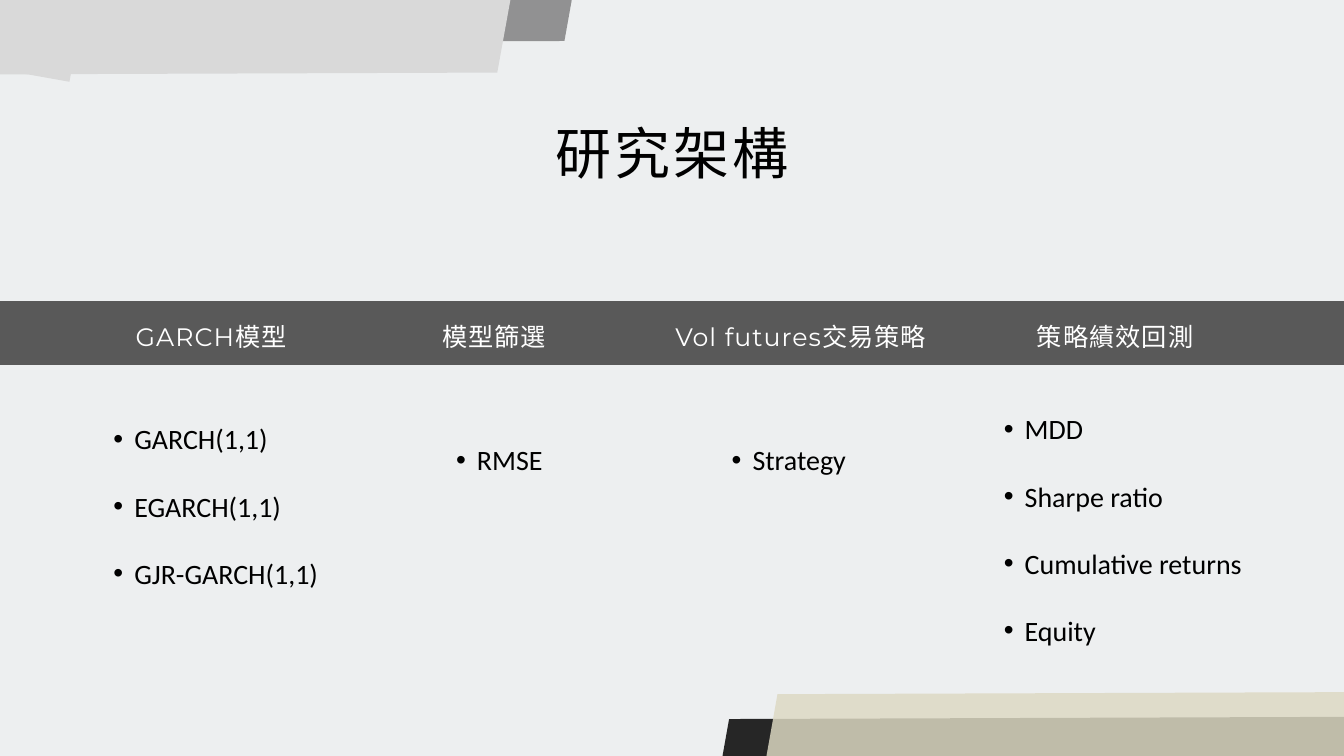
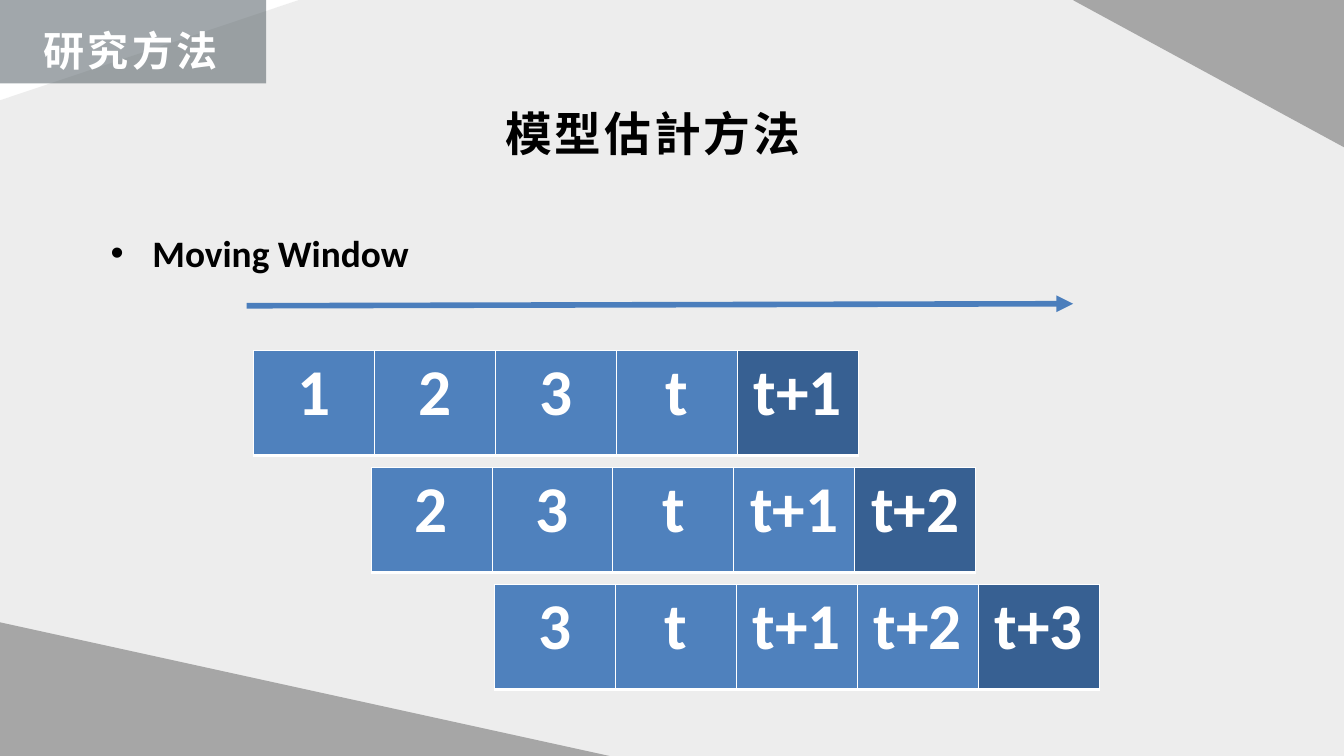
from lxml.etree import SubElement as Sub
from pptx import Presentation
from pptx.dml.color import RGBColor as Rgb
from pptx.enum.shapes import MSO_CONNECTOR as Connector, MSO_SHAPE as Preset
from pptx.enum.text import MSO_ANCHOR as Anchor, MSO_AUTO_SIZE as AutoSize, PP_ALIGN as Align
from pptx.oxml.ns import qn
from pptx.util import Inches, Pt

# Shared grid: 20 columns by 11.25 rows of square units
COLUMNS, ROWS = 20, 11.25
UNIT = Inches(1)

COLORS = {
    "mist": "EDEFF0", "white": "FFFFFF", "black": "000000",
    "band": "595959", "pale": "D9D9D9", "mid": "808080", "sand": "DDD9C3",
    "wash": "BFBFBF", "corner": "A6A6A6", "tag": "525E64",
    "window": "4F81BD", "forecast": "376092", "arrow": "4B7EBC",
}


def draw_panel(slide, color, opacity=100, points=None, place=None, turn=0):
    """Draw a filled outline through points, or a turned rectangle."""
    if points:
        corners = [(x * UNIT, y * UNIT) for x, y in points]
        outline = slide.shapes.build_freeform(*corners[0], scale=1.0)
        outline.add_line_segments(corners[1:], close=True)
        panel = outline.convert_to_shape()
    else:
        panel = slide.shapes.add_shape(Preset.RECTANGLE, *[int(v * UNIT) for v in place])
        panel.rotation = turn
    panel.shadow.inherit = False
    panel.line.fill.background()
    panel.fill.solid()
    panel.fill.fore_color.rgb = Rgb.from_string(COLORS[color])
    if opacity < 100:
        tint = panel.fill._xPr.find(qn("a:solidFill"))[0]
        Sub(tint, qn("a:alpha"), val=str(opacity * 1000))


def write_text(target, text, place=None, size=30, font="Calibri", color="black",
               bold=False, align=None, leading=None, tracking=0, indent=0,
               bullet=False, inset=True, grow=True, anchor=None):
    """Write lines in a new box at place, or in the target's own frame."""
    if place:
        frame = target.shapes.add_textbox(*[int(v * UNIT) for v in place]).text_frame
        frame.word_wrap = True
        frame.auto_size = AutoSize.SHAPE_TO_FIT_TEXT if grow else AutoSize.NONE
        frame.vertical_anchor = anchor
        if not inset:
            frame.margin_left = frame.margin_right = 0
            frame.margin_top = frame.margin_bottom = 0
    else:
        frame = target.text_frame
    for number, line in enumerate(text.split("\n")):
        paragraph = frame.add_paragraph() if number else frame.paragraphs[0]
        paragraph.alignment = align
        paragraph.line_spacing = leading
        layout = paragraph._p.get_or_add_pPr()
        if indent:
            layout.set("marL", str(int(indent * UNIT)))
            layout.set("indent", str(int(-indent * UNIT) if bullet else 0))
        if bullet:
            Sub(layout, qn("a:buFont"), typeface="Arial")
            Sub(layout, qn("a:buChar"), char="•")
        run = paragraph.add_run()
        run.text = line
        run.font.size, run.font.name, run.font.bold = Pt(size), font, bold
        run.font.color.rgb = Rgb.from_string(COLORS[color])
        if tracking:
            run._r.get_or_add_rPr().set("spc", str(round(tracking * 100)))


deck = Presentation()
deck.slide_width, deck.slide_height = int(COLUMNS * UNIT), int(ROWS * UNIT)
framework, method = [deck.slides.add_slide(deck.slide_layouts[6]) for _ in range(2)]
for slide, backdrop in ((framework, "mist"), (method, "white")):
    slide.background.fill.solid()
    slide.background.fill.fore_color.rgb = Rgb.from_string(COLORS[backdrop])

# Shared title style
TITLE = dict(font="Montserrat", align=Align.CENTER)

# Research framework: title and heading band
write_text(framework, "研究架構", (2.02, 1.85, 15.97, 0.93), size=60,
           leading=Pt(66.1), tracking=3.1, inset=False, **TITLE)
draw_panel(framework, "band",
           points=[(-3.57, 5.43), (-3.57, 4.48), (23.67, 4.48), (23.67, 5.43)])

# Slanted bars in the corners
slanted_bars = [
    ("black", 84, [(10.85, 10.7), (10, 15.47), (23.99, 15.42), (24.84, 10.65)]),
    ("mid", 84, [(-4.74, -4.11), (-5.59, 0.66), (8.4, 0.61), (9.25, -4.15)]),
    ("pale", 100, [(-5.73, -3.63), (-6.58, 1.13), (7.4, 1.08), (8.26, -3.68)]),
    ("sand", 84, [(11.57, 10.33), (10.72, 15.1), (24.71, 15.05), (25.56, 10.28)]),
]
for color, opacity, corners in slanted_bars:
    draw_panel(framework, color, opacity, points=corners)
draw_panel(framework, "pale", place=(-6.05, -7.24, 7.51, 8.1), turn=280.1)

# Four stages: heading in the band, bullet list below
stages = [
    ("GARCH模型", (1.7, 4.71, 4.31, 0.49), None,
     "GARCH(1,1)\nEGARCH(1,1)\nGJR-GARCH(1,1)", (1.59, 5.73, 4.06, 2.99)),
    ("模型篩選", (6.26, 4.7, 2.91, 0.49), None,
     "RMSE", (6.69, 6.04, 3.57, 0.97)),
    ("Vol futures交易策略", (9.73, 4.7, 4.67, 0.49), None,
     "Strategy", (10.79, 6.04, 3.57, 0.97)),
    ("策略績效回測", (14.26, 4.71, 4.67, 0.49), Align.CENTER,
     "MDD\nSharpe ratio\nCumulative returns\nEquity", (14.84, 5.58, 4.06, 4)),
]
for heading, heading_place, align, items, items_place in stages:
    write_text(framework, heading, heading_place, size=27, font="Montserrat",
               color="white", align=align, leading=Pt(37.8), tracking=1.1,
               indent=0 if align else 0.32, inset=False)
    write_text(framework, items, items_place, leading=2.0, indent=0.31, bullet=True)

# Estimation method: tinted ground and grey corners
draw_panel(method, "wash", 27,
           points=[(-3.42, 2.64), (20.78, -5.48), (26.58, 11.81), (2.38, 19.93)])
draw_panel(method, "corner",
           points=[(-2.43, 12.23), (-1.69, 8.89), (16.64, 12.91), (15.91, 16.25)])
draw_panel(method, "corner", place=(16.63, -3.79, 5.72, 4.9), turn=298.5)

# Title, topic and section tag
SECTION = dict(TITLE, bold=True, leading=Pt(83.1), tracking=3.3)
write_text(method, "模型估計方法", (1.94, 1.24, 15.55, 1.03), size=50,
           inset=False, **SECTION)
write_text(method, "Moving Window", (1.55, 3.07, 11.5, 1.45), size=40, bold=True,
           leading=0.9, indent=0.62, bullet=True, grow=False, anchor=Anchor.MIDDLE)
draw_panel(method, "tag", 54,
           points=[(-0.67, 1.24), (-0.67, -0.19), (3.96, -0.19), (3.96, 1.24)])
write_text(method, "研究方法", (-8.03, -0.09, 19.95, 1.12), size=44,
           color="white", **SECTION)

# Moving windows: each starts one period later, the last cell is the forecast
periods = ["1", "2", "3", "t", "t+1", "t+2", "t+3"]
SPAN, CELL = 5, 1.8
for step, left in enumerate((3.77, 5.52, 7.36)):
    top = 5.21 + 1.74 * step
    window = method.shapes.add_table(
        1, SPAN, *[int(v * UNIT) for v in (left, top, SPAN * CELL, 1.57)]).table
    for place, period in enumerate(periods[step:step + SPAN]):
        cell = window.cell(0, place)
        write_text(cell, period, size=70, color="white", bold=True, align=Align.CENTER)
        borders = cell._tc.get_or_add_tcPr()
        for side, width in (("L", 1), ("R", 1), ("T", 1), ("B", 3)):
            edge = Sub(borders, qn(f"a:ln{side}"), w=str(Pt(width)))
            Sub(Sub(edge, qn("a:solidFill")), qn("a:srgbClr"), val=COLORS["white"])
        cell.fill.solid()
        shade = "forecast" if place == SPAN - 1 else "window"
        cell.fill.fore_color.rgb = Rgb.from_string(COLORS[shade])

# Direction of time
timeline = method.shapes.add_connector(
    Connector.STRAIGHT, *[int(v * UNIT) for v in (3.67, 4.55, 15.97, 4.52)])
timeline.line.width = Pt(6)
timeline.line.color.rgb = Rgb.from_string(COLORS["arrow"])
Sub(timeline.line._get_or_add_ln(), qn("a:tailEnd"), type="triangle")
Sub(timeline._element.spPr, qn("a:effectLst"))

deck.save("out.pptx")
